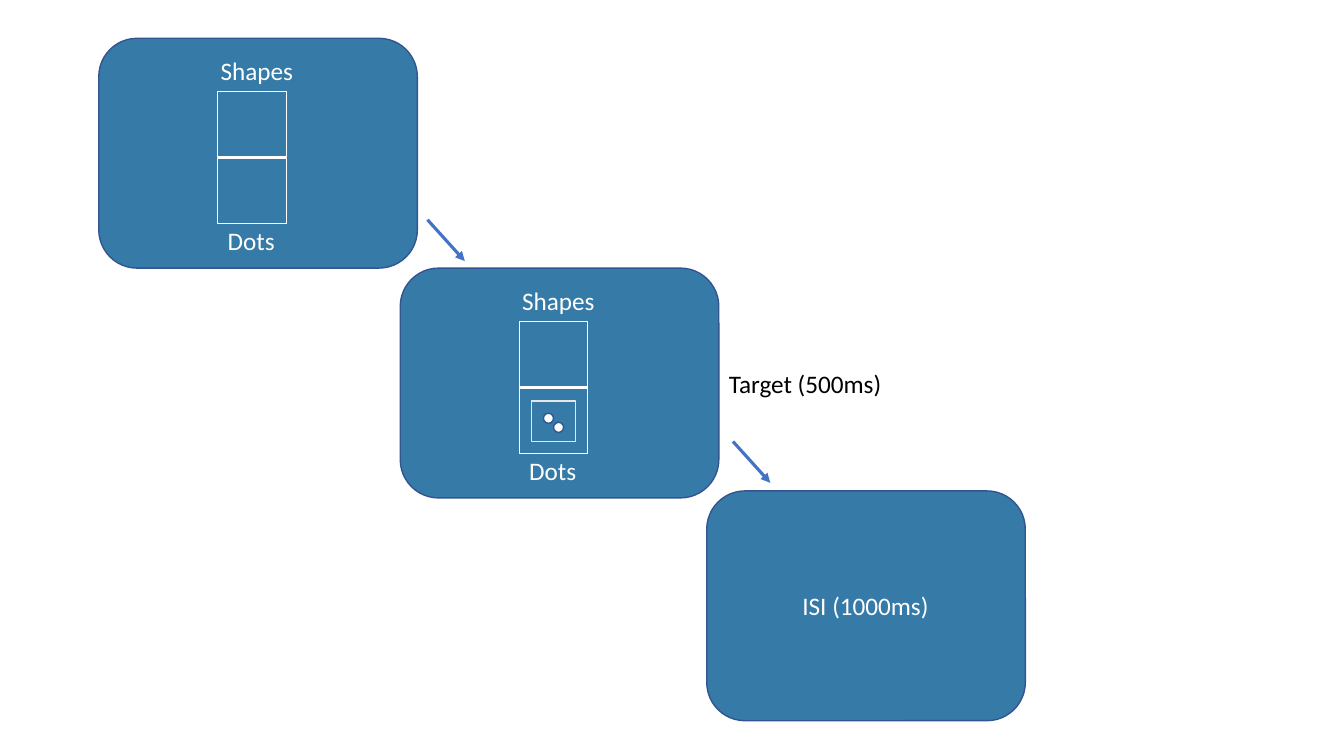
from pptx import Presentation
from pptx.dml.color import RGBColor
from pptx.enum.shapes import MSO_CONNECTOR, MSO_SHAPE as Preset
from pptx.enum.text import MSO_AUTO_SIZE
from pptx.oxml.ns import qn
from pptx.util import Inches, Pt
from lxml.etree import SubElement

WHITE = RGBColor(0xFF, 0xFF, 0xFF)
BLACK = RGBColor(0x00, 0x00, 0x00)
PANEL_BLUE = RGBColor(0x36, 0x7A, 0xA7)
EDGE_BLUE = RGBColor(0x32, 0x54, 0x91)
ARROW_BLUE = RGBColor(0x44, 0x72, 0xC4)
LIGHT_GREY = RGBColor(0xE7, 0xE6, 0xE6)

SCREENS = [(0.98, 0.38), (3.97, 2.66), (7.01, 4.87)]
SCREEN_SIZE = (3.16, 2.28)
CELL_SIZE = (0.68, 0.65)


def add_figure(shapes, preset, left, top, size, line, fill=None):
    figure = shapes.add_shape(preset, Inches(left), Inches(top), *map(Inches, size))
    figure.shadow.inherit = False
    if fill is None:
        figure.fill.background()
    else:
        figure.fill.solid()
        figure.fill.fore_color.rgb = fill
    figure.line.color.rgb = line
    figure.line.width = Pt(1)
    return figure


def add_label(shapes, text, left, top, width, color=WHITE):
    box = shapes.add_textbox(Inches(left), Inches(top), Inches(width), Inches(0.4))
    box.text_frame.word_wrap = False
    box.text_frame.auto_size = MSO_AUTO_SIZE.SHAPE_TO_FIT_TEXT
    span = box.text_frame.paragraphs[0].add_run()
    span.text = text
    span.font.name = "Calibri"
    span.font.size = Pt(18)
    span.font.color.rgb = color


def add_screen(shapes, left, top):
    add_figure(shapes, Preset.ROUNDED_RECTANGLE, left, top, SCREEN_SIZE,
               EDGE_BLUE, PANEL_BLUE)


def add_choice_screen(page, left, top):
    """A screen with two stacked cells, named above and below."""
    shapes = page.shapes.add_group_shape().shapes
    add_screen(shapes, left, top)
    for cell_top in (0.53, 1.19):
        add_figure(shapes, Preset.RECTANGLE, left + 1.18, top + cell_top,
                   CELL_SIZE, WHITE)
    add_label(shapes, "Shapes", left + 1.11, top + 0.12, 0.93)
    add_label(shapes, "Dots", left + 1.18, top + 1.81, 0.67)


def add_target(page, left, top):
    """A small frame holding two dots."""
    add_figure(page.shapes, Preset.RECTANGLE, left, top, (0.44, 0.4), LIGHT_GREY)
    for across, down in ((0.12, 0.12), (0.22, 0.21)):
        add_figure(page.shapes, Preset.OVAL, left + across, top + down,
                   (0.1, 0.1), EDGE_BLUE, WHITE)


def add_arrow(page, left, top):
    arrow = page.shapes.add_connector(
        MSO_CONNECTOR.STRAIGHT, Inches(left), Inches(top),
        Inches(left + 0.37), Inches(top + 0.41))
    arrow.line.color.rgb = ARROW_BLUE
    arrow.line.width = Pt(2.25)
    SubElement(arrow.line._get_or_add_ln(), qn("a:tailEnd"), type="triangle")
    SubElement(arrow._element.spPr, qn("a:effectLst"))


def main():
    deck = Presentation()
    deck.slide_width, deck.slide_height = Inches(13.33), Inches(7.5)
    page = deck.slides.add_slide(deck.slide_layouts[6])
    first, second, third = SCREENS

    # Choice screens, the second one with the target
    add_choice_screen(page, *first)
    add_choice_screen(page, *second)
    add_target(page, second[0] + 1.3, second[1] + 1.32)

    # Interval screen
    add_screen(page.shapes, *third)
    add_label(page.shapes, "ISI (1000ms)", third[0] + 0.85, third[1] + 0.94, 1.47)

    # Timing and order
    add_label(page.shapes, "Target (500ms)", 7.13, 3.6, 1.73, color=BLACK)
    add_arrow(page, 4.24, 2.18)
    add_arrow(page, 7.27, 4.38)

    deck.save("out.pptx")


main()
